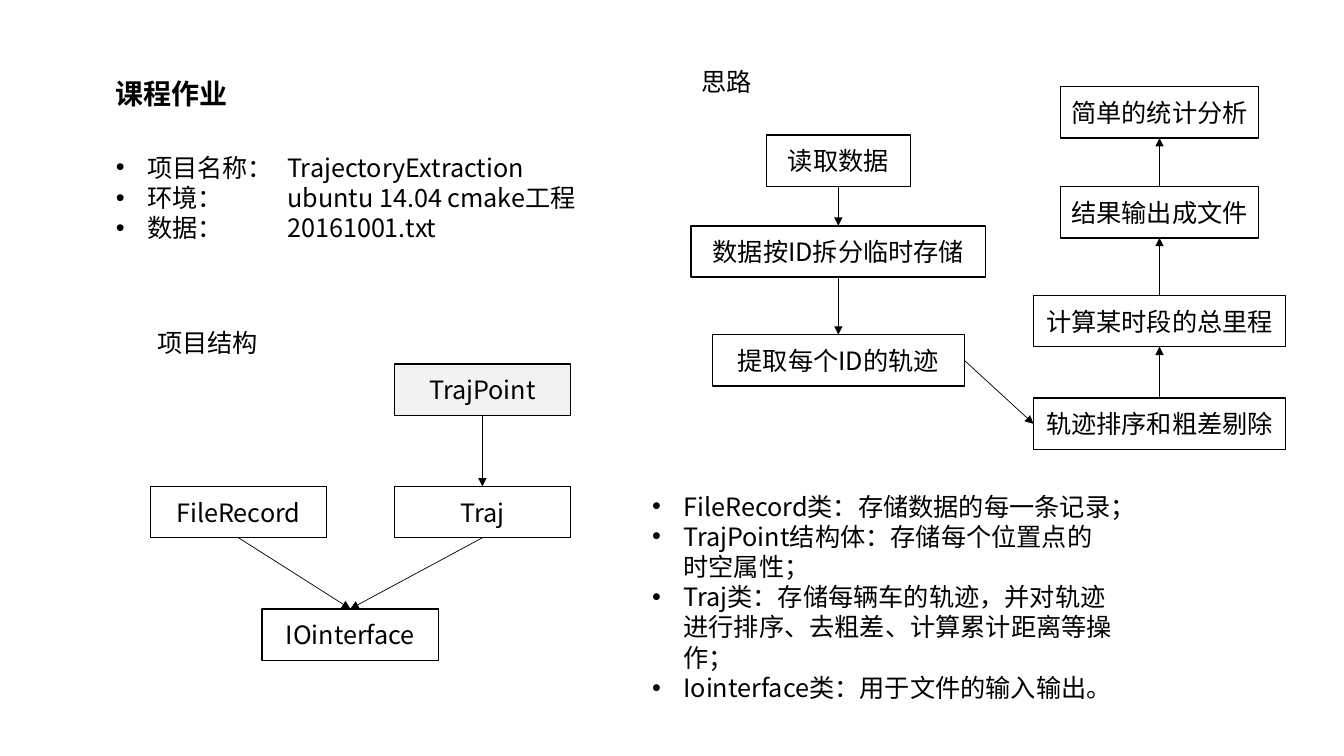
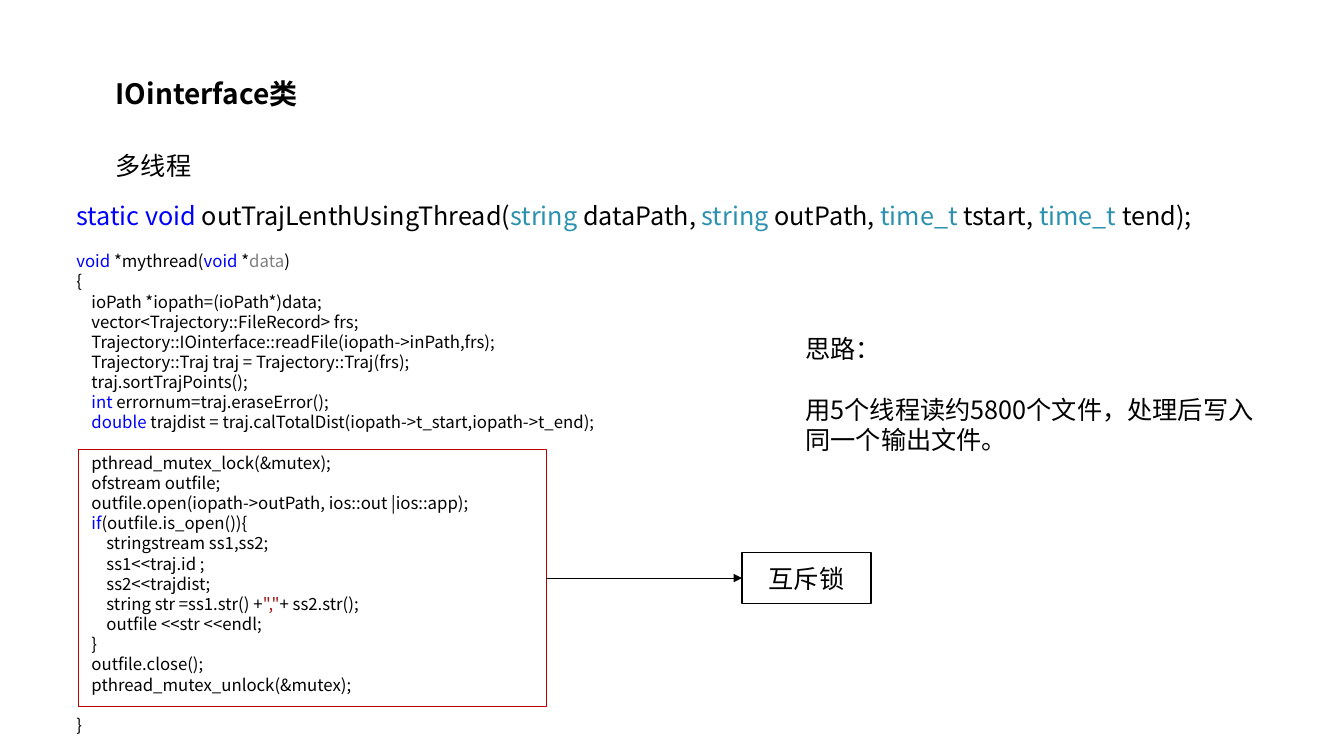
from collections import namedtuple
from dataclasses import dataclass

from lxml import etree
from pptx import Presentation
from pptx.dml.color import RGBColor
from pptx.enum.shapes import MSO_CONNECTOR, MSO_SHAPE
from pptx.enum.text import MSO_ANCHOR, PP_ALIGN
from pptx.oxml.ns import qn
from pptx.util import Inches, Pt

RECT = MSO_SHAPE.RECTANGLE
LINE = MSO_CONNECTOR.STRAIGHT
MID, TOP = MSO_ANCHOR.MIDDLE, MSO_ANCHOR.TOP
LEFT, CENTER = PP_ALIGN.LEFT, PP_ALIGN.CENTER
NORTH, WEST, SOUTH, EAST = range(4)  # connection sites of a rectangle

WIDE, HIGH = Inches(13.33), Inches(7.5)
COL, ROW = WIDE / 133.3, HIGH / 75  # grid of 133.3 columns by 75 rows
NODE = 5.1  # rows in a diagram node

Box = namedtuple("Box", "x y w h")


@dataclass(frozen=True)
class Theme:
    font: str = "Noto Sans CJK SC"
    ink: str = "000000"
    pale: str = "F2F2F2"
    alert: str = "C00000"
    blue: str = "0000FF"
    teal: str = "2B91AF"
    gray: str = "808080"
    red: str = "A31515"
    title: int = 20
    body: int = 18
    code: int = 12
    lead: float = 1.2
    edge: float = 1
    thin: float = 0.5


T = Theme()
MARKS = {"b": T.blue, "t": T.teal, "g": T.gray, "r": T.red}

FACTS = ["项目名称：\tTrajectoryExtraction",
         "环境：\tubuntu 14.04 cmake工程",
         "数据：\t20161001.txt"]
ROLES = ["FileRecord类：存储数据的每一条记录；",
         "TrajPoint结构体：存储每个位置点的时空属性；",
         "Traj类：存储每辆车的轨迹，并对轨迹进行排序、去粗差、计算累计距离等操作；",
         "Iointerface类：用于文件的输入输出。"]
HEAD = ("~bstatic~ ~bvoid~ outTrajLenthUsingThread(~tstring~ dataPath, "
        "~tstring~ outPath, ~ttime_t~ tstart, ~ttime_t~ tend);")
CODE = """~bvoid~ *mythread(~bvoid~ *~gdata~)
{
    ioPath *iopath=(ioPath*)data;
    vector<Trajectory::FileRecord> frs;
    Trajectory::IOinterface::readFile(iopath->inPath,frs);
    Trajectory::Traj traj = Trajectory::Traj(frs);
    traj.sortTrajPoints();
    ~bint~ errornum=traj.eraseError();
    ~bdouble~ trajdist = traj.calTotalDist(iopath->t_start,iopath->t_end);
    pthread_mutex_lock(&mutex);
    ofstream outfile;
    outfile.open(iopath->outPath, ios::out |ios::app);
    ~bif~(outfile.is_open()){
        stringstream ss1,ss2;
        ss1<<traj.id ;
        ss2<<trajdist;
        string str =ss1.str() +~r","~+ ss2.str();
        outfile <<str <<endl;
    }
    outfile.close();
    pthread_mutex_unlock(&mutex);
}""".split("\n")


def rgb(tone):
    return RGBColor.from_string(tone)


def area(x, y, w, h):
    """Turn grid columns and rows into lengths."""
    return [round(v) for v in (x * COL, y * ROW, w * COL, h * ROW)]


def bullet(para, tab):
    props = para._p.get_or_add_pPr()
    props.set("marL", str(Inches(0.31)))
    props.set("indent", str(-Inches(0.31)))
    etree.SubElement(props, qn("a:buFont"), typeface="Arial")
    etree.SubElement(props, qn("a:buChar"), char="•")
    if tab:
        stops = etree.SubElement(props, qn("a:tabLst"))
        etree.SubElement(stops, qn("a:tab"), pos=str(Inches(tab)), algn="l")


def write(shape, lines, size=T.body, bold=False, align=LEFT, anchor=TOP,
          wrap=True, bullets=False, tab=None, gaps=()):
    """Fill a shape; ~kword~ colours a word, gaps lists lines set a line lower."""
    frame = shape.text_frame
    frame.word_wrap, frame.vertical_anchor = wrap, anchor
    for i, line in enumerate(lines):
        para = frame.add_paragraph() if i else frame.paragraphs[0]
        if bullets:
            bullet(para, tab)
        para.alignment = align
        para.line_spacing = Pt(size * T.lead)
        if i in gaps:
            para.space_before = Pt(size * T.lead)
        for j, part in enumerate(line.split("~")):
            if not part:
                continue
            marked = j % 2 == 1
            run = para.add_run()
            run.text = part[1:] if marked else part
            font = run.font
            font.name, font.size, font.bold = T.font, Pt(size), bold
            font.color.rgb = rgb(MARKS[part[0]] if marked else T.ink)
            etree.SubElement(run._r.get_or_add_rPr(), qn("a:ea"),
                             typeface=T.font)


def text(slide, box, *lines, **form):
    write(slide.shapes.add_textbox(*area(*box)), lines, **form)


def frame(slide, box, fill=None, tone=T.ink):
    shape = slide.shapes.add_shape(RECT, *area(*box))
    shape.shadow.inherit = False
    if fill:
        shape.fill.solid()
        shape.fill.fore_color.rgb = rgb(fill)
    else:
        shape.fill.background()
    shape.line.color.rgb = rgb(tone)
    shape.line.width = Pt(T.edge)
    return shape


def node(slide, label, mid, top, wide, fill=None):
    """Draw a labelled box centred on column mid."""
    shape = frame(slide, Box(mid - wide / 2, top, wide, NODE), fill)
    write(shape, [label], align=CENTER, anchor=MID, wrap=False)
    return shape


def link(slide, start, out, end, into):
    """Draw an arrow between connection sites of two shapes."""
    arrow = slide.shapes.add_connector(LINE, 0, 0, 0, 0)
    arrow.begin_connect(start, out)
    arrow.end_connect(end, into)
    arrow.line.color.rgb = rgb(T.ink)
    arrow.line.width = Pt(T.thin)
    props = arrow.element.spPr
    etree.SubElement(props.find(qn("a:ln")), qn("a:tailEnd"), type="triangle")
    etree.SubElement(props, qn("a:effectLst"))


def chain(slide, mid, steps, out, into):
    """Draw a column of linked nodes from (label, top, width) steps."""
    nodes = [node(slide, label, mid, top, wide) for label, top, wide in steps]
    for start, end in zip(nodes, nodes[1:]):
        link(slide, start, out, end, into)
    return nodes


def tree(slide, box):
    """Show how the classes of the project depend on each other."""
    text(slide, Box(box.x, box.y, 26.2, 4), "项目结构")
    wide, step = 17.5, 12.15
    tops = [box.y + 4.1 + i * step for i in range(3)]
    right = box.x + box.w - wide / 2
    point = node(slide, "TrajPoint", right, tops[0], wide, T.pale)
    record = node(slide, "FileRecord", box.x + 9.05, tops[1], wide)
    traj = node(slide, "Traj", right, tops[1], wide)
    port = node(slide, "IOinterface", box.x + 20.15, tops[2], wide)
    link(slide, point, SOUTH, traj, NORTH)
    for source in (record, traj):
        link(slide, source, SOUTH, port, NORTH)


def flow(slide, box):
    """Show the processing steps, down the left and up the right."""
    text(slide, Box(box.x, box.y, 26.2, 4), "思路")
    down = chain(slide, box.x + 14.55, [
        ("读取数据", box.y + 7.3, 14.3),
        ("数据按ID拆分临时存储", box.y + 16.3, 29.2),
        ("提取每个ID的轨迹", box.y + 27.1, 25)], SOUTH, NORTH)
    rise = chain(slide, box.x + box.w - 12.5, [
        ("轨迹排序和粗差剔除", box.y + 33.4, 25),
        ("计算某时段的总里程", box.y + 23.2, 25),
        ("结果输出成文件", box.y + 12.4, 19.6),
        ("简单的统计分析", box.y + 2.5, 19.6)], NORTH, SOUTH)
    link(slide, down[-1], EAST, rise[0], WEST)


def source(slide, box):
    """Set the code listing and point out its locked part."""
    text(slide, box, *CODE, size=T.code,
         gaps=(9, len(CODE) - 1))
    lock = frame(slide, Box(box.x + 1.2, box.y + 20.2, 46.4, 25.5),
                 tone=T.alert)
    note = node(slide, "互斥锁", box.x + 73.4, box.y + 30.4, 12.8)
    link(slide, lock, EAST, note, WEST)


def page(deck, title):
    slide = deck.slides.add_slide(deck.slide_layouts[6])
    text(slide, Box(10.5, 7.1, 43.7, 4.4), title, size=T.title, bold=True)
    return slide


def task(deck):
    slide = page(deck, "课程作业")
    text(slide, Box(10.5, 14.6, 50.9, 10.1), *FACTS, bullets=True, tab=1.7)
    tree(slide, Box(14.6, 32, 42, 33.5))
    flow(slide, Box(68.6, 6.1, 58.9, 38.5))
    text(slide, Box(63.7, 48.2, 47.8, 22.2), *ROLES, bullets=True)


def thread(deck):
    slide = page(deck, "IOinterface类")
    text(slide, Box(10.5, 14.4, 9.6, 4), "多线程", wrap=False)
    text(slide, Box(6.6, 19.4, 122.9, 4), HEAD)
    source(slide, Box(6.6, 24.4, 61.7, 49.5))
    text(slide, Box(78.9, 32.6, 47.8, 13.1), "思路：",
         "用5个线程读约5800个文件，处理后写入同一个输出文件。", gaps=(1,))


def main():
    deck = Presentation()
    deck.slide_width, deck.slide_height = WIDE, HIGH
    task(deck)
    thread(deck)
    deck.save("out.pptx")


if __name__ == "__main__":
    main()
